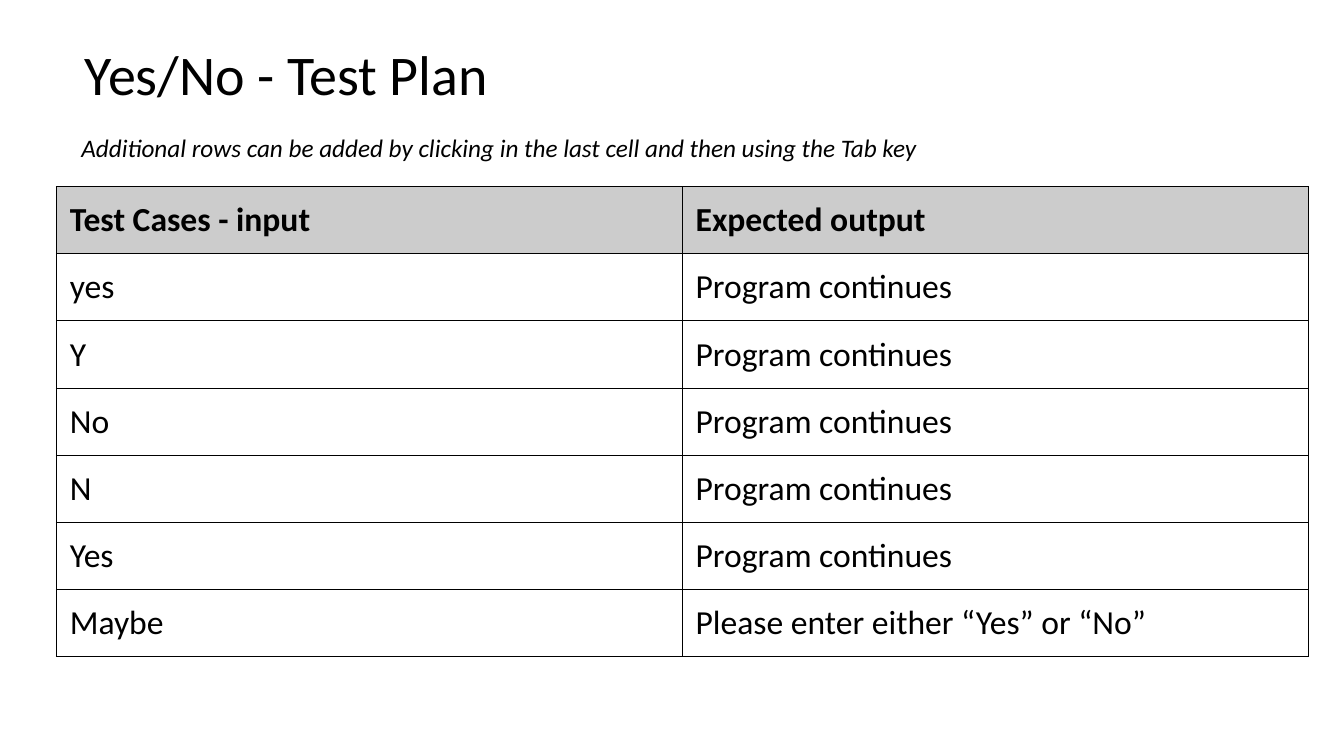
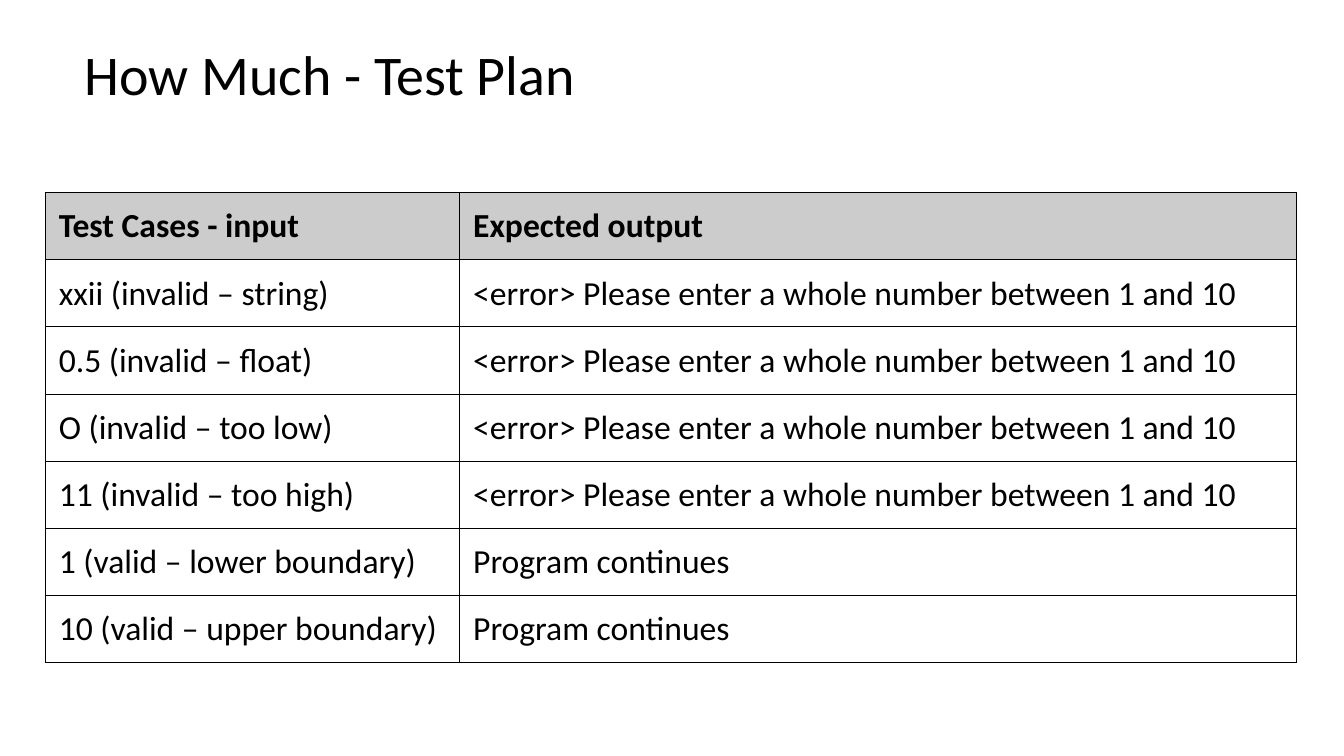
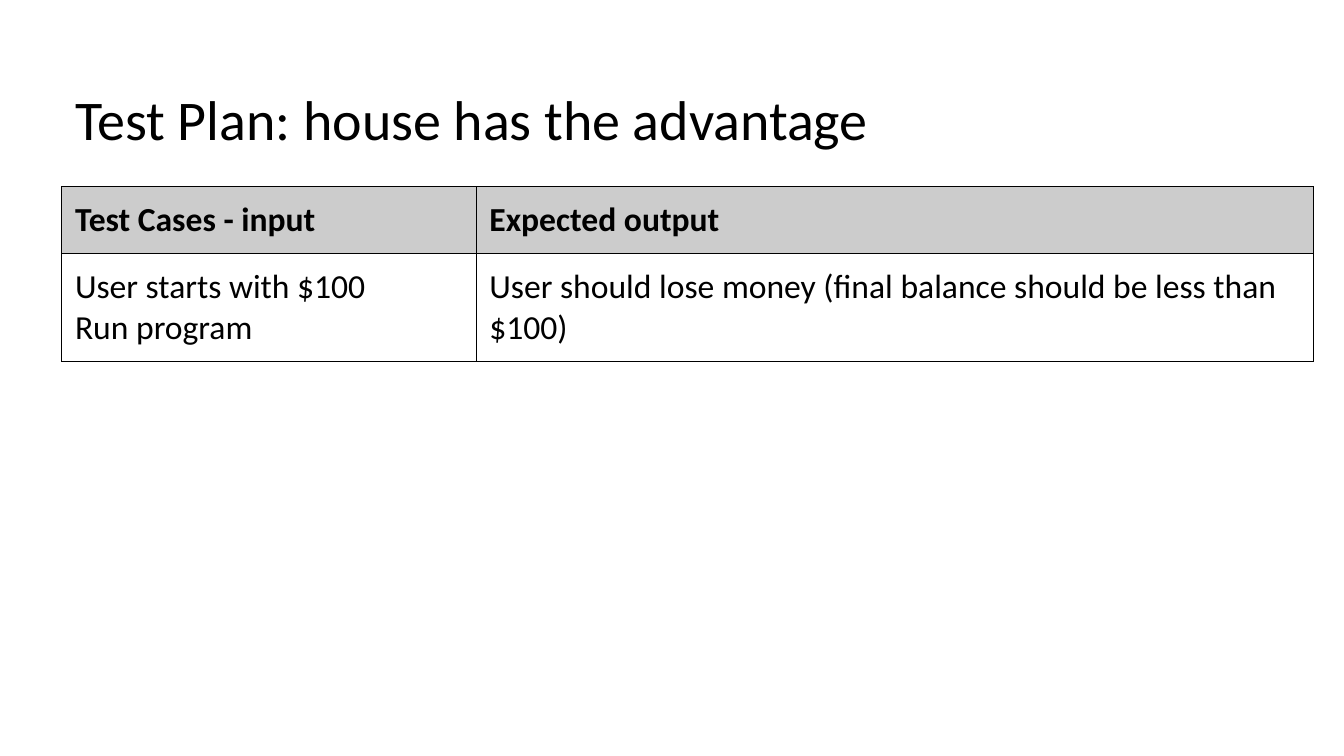
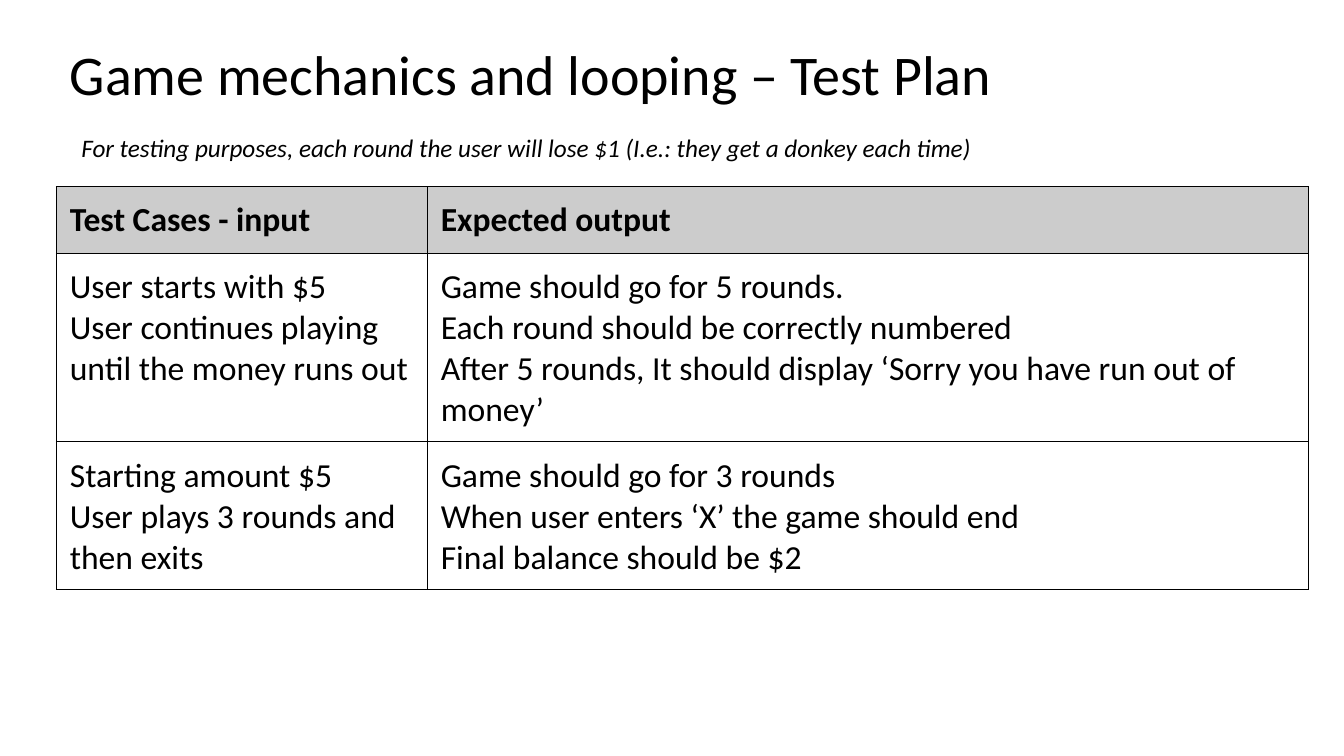
from dataclasses import dataclass

from lxml import etree
from pptx import Presentation
from pptx.dml.color import RGBColor
from pptx.enum.text import MSO_ANCHOR
from pptx.oxml.ns import qn
from pptx.util import Pt

TOP = MSO_ANCHOR.TOP
BORDER_SIDES = ("a:lnL", "a:lnR", "a:lnT", "a:lnB")


@dataclass(frozen=True)
class Theme:
    font: str = "Calibri"
    ink: RGBColor = RGBColor(0x00, 0x00, 0x00)
    header_fill: RGBColor = RGBColor(0xCC, 0xCC, 0xCC)
    title_size: int = 40
    table_size: int = 24
    note_size: int = 18
    border_width: float = 0.75
    inset: float = 9.6


THEME = Theme()
TABLE_WIDTH = 894
ROW_HEIGHT = 48
HEADER = ("Test Cases - input", "Expected output")
CONTINUES = "Program continues"
NUMBER_ERROR = "<error> Please enter a whole number between 1 and 10"

PLANS = [
    {
        "title": "Yes/No - Test Plan",
        "title_at": (51, 24),
        "note": "Additional rows can be added by clicking in the last cell and then using the Tab key",
        "table_at": (40.3, 133.2),
        "input_width": 447,
        "cases": [(answer, CONTINUES) for answer in ("yes", "Y", "No", "N", "Yes")]
        + [("Maybe", "Please enter either “Yes” or “No”")],
    },
    {
        "title": "How Much - Test Plan",
        "title_at": (51, 24),
        "table_at": (32.4, 137.5),
        "input_width": 296,
        "cases": [
            ("xxii (invalid – string)", NUMBER_ERROR),
            ("0.5 (invalid – float)", NUMBER_ERROR),
            ("O (invalid – too low)", NUMBER_ERROR),
            ("11 (invalid – too high)", NUMBER_ERROR),
            ("1 (valid – lower boundary)", CONTINUES),
            ("10 (valid – upper boundary)", CONTINUES),
        ],
    },
    {
        "title": "Test Plan: house has the advantage",
        "title_at": (44, 56),
        "table_at": (44, 133.2),
        "input_width": 296,
        "cases": [
            (
                "User starts with $100\nRun program",
                "User should lose money (final balance should be less than $100)",
            ),
        ],
    },
    {
        "title": "Game mechanics and looping – Test Plan",
        "title_at": (40.3, 24),
        "note": "For testing purposes, each round the user will lose $1 (I.e.: they get a donkey each time)",
        "table_at": (40.3, 133.2),
        "input_width": 265,
        "cases": [
            (
                "User starts with $5\nUser continues playing until the money runs out",
                "Game should go for 5 rounds.\nEach round should be correctly numbered\n"
                "After 5 rounds, It should display ‘Sorry you have run out of money’",
            ),
            (
                "Starting amount $5\nUser plays 3 rounds and then exits",
                "Game should go for 3 rounds\nWhen user enters ‘X’ the game should end\n"
                "Final balance should be $2",
            ),
        ],
    },
]


def write_text(text_frame, text, size, bold=False, italic=False):
    text_frame.text = text
    text_frame.word_wrap = True
    for paragraph in text_frame.paragraphs:
        for run in paragraph.runs:
            run.font.name = THEME.font
            run.font.size = Pt(size)
            run.font.color.rgb = THEME.ink
            run.font.bold = bold
            run.font.italic = italic


def style_cell(cell, is_header):
    """Set margins, black borders on all sides, and the fill, which must follow the borders."""
    cell.margin_left = cell.margin_right = Pt(THEME.inset)
    cell.margin_top = cell.margin_bottom = Pt(THEME.inset)
    cell.vertical_anchor = TOP
    properties = cell._tc.get_or_add_tcPr()
    for side in BORDER_SIDES:
        line = etree.SubElement(properties, qn(side), w=str(Pt(THEME.border_width)))
        line_fill = etree.SubElement(line, qn("a:solidFill"))
        etree.SubElement(line_fill, qn("a:srgbClr"), val=str(THEME.ink))
    if is_header:
        cell.fill.solid()
        cell.fill.fore_color.rgb = THEME.header_fill
    else:
        cell.fill.background()


presentation = Presentation()
presentation.slide_width = Pt(960)
presentation.slide_height = Pt(540)
blank_layout = presentation.slide_layouts[6]

for plan in PLANS:
    slide = presentation.slides.add_slide(blank_layout)

    left, top = plan["title_at"]
    title = slide.shapes.add_textbox(Pt(left), Pt(top), Pt(TABLE_WIDTH), Pt(60))
    title_frame = title.text_frame
    title_frame.margin_left = title_frame.margin_right = Pt(THEME.inset)
    title_frame.margin_top = title_frame.margin_bottom = Pt(THEME.inset)
    title_frame.vertical_anchor = TOP
    write_text(title_frame, plan["title"], THEME.title_size)
    title_frame.paragraphs[0].line_spacing = 0.9

    rows = [HEADER] + plan["cases"]
    left, top = plan["table_at"]
    table = slide.shapes.add_table(
        len(rows), len(HEADER), Pt(left), Pt(top), Pt(TABLE_WIDTH), Pt(ROW_HEIGHT * len(rows))
    ).table
    table.first_row = False
    table.horz_banding = False
    table.columns[0].width = Pt(plan["input_width"])
    table.columns[1].width = Pt(TABLE_WIDTH - plan["input_width"])
    for row_index, row in enumerate(rows):
        is_header = row_index == 0
        for column_index, text in enumerate(row):
            cell = table.cell(row_index, column_index)
            style_cell(cell, is_header)
            write_text(cell.text_frame, text, THEME.table_size, bold=is_header)

    if "note" in plan:
        note = slide.shapes.add_textbox(Pt(51), Pt(90.7), Pt(788), Pt(29))
        write_text(note.text_frame, plan["note"], THEME.note_size, italic=True)

presentation.save("out.pptx")
